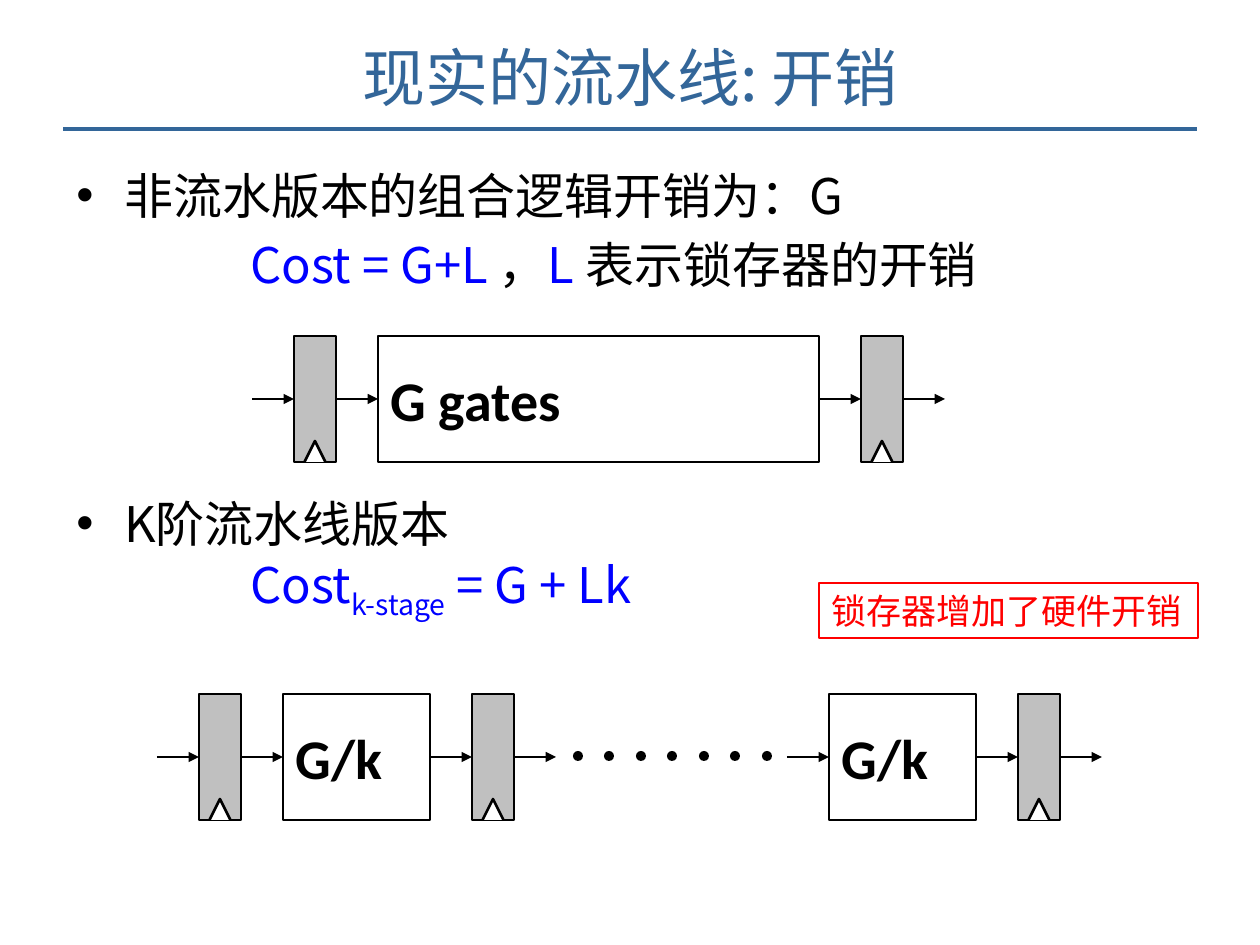
from lxml.etree import SubElement
from pptx import Presentation
from pptx.dml.color import RGBColor
from pptx.enum.shapes import MSO_CONNECTOR, MSO_SHAPE
from pptx.enum.text import MSO_ANCHOR, PP_ALIGN
from pptx.oxml.ns import qn
from pptx.util import Pt

BLACK = RGBColor(0x00, 0x00, 0x00)
WHITE = RGBColor(0xFF, 0xFF, 0xFF)
GRAY = RGBColor(0xC0, 0xC0, 0xC0)
NAVY = RGBColor(0x33, 0x66, 0x99)
BLUE = RGBColor(0x00, 0x00, 0xFF)
RED = RGBColor(0xFF, 0x00, 0x00)
CJK, LATIN = "Noto Sans CJK SC", "Calibri"

TITLE = "现实的流水线: 开销"
CALLOUT = "锁存器增加了硬件开销"
POINTS = [
    (149, "非流水版本的组合逻辑开销为：G",
     [("Cost = G+L ", BLUE, 0), ("，", BLACK, 0), ("L ", BLUE, 0),
      ("表示锁存器的开销", BLACK, 0)]),
    (477, "K阶流水线版本",
     [("Cost", BLUE, 0), ("k-stage", BLUE, -25000), (" = G + Lk", BLUE, 0)]),
]
PIPELINES = [
    {"top": 336, "gates": [("G gates", 378, 441)],
     "latches": [294, 861], "inputs": [], "dots": []},
    {"top": 694, "gates": [("G/k", 283, 147), ("G/k", 829, 147)],
     "latches": [199, 472, 1018], "inputs": [787],
     "dots": [573 + 63 * i // 2 for i in range(7)]},
]
LATCH_W, STAGE_H, WIRE, CLOCK, DOT = 42, 126, 42, 21, 10
EMU_PER_PX = 914400 / 126


def px(*lengths):
    return [round(length * EMU_PER_PX) for length in lengths]


def style_run(run, size, color, font=CJK, bold=False):
    run.font.size = Pt(size)
    run.font.color.rgb = color
    run.font.name = font
    run.font.bold = bold
    SubElement(run.font._element, qn("a:ea"), typeface=font)


def paint(shape, fill, line=BLACK):
    shape.shadow.inherit = False
    shape.fill.solid()
    shape.fill.fore_color.rgb = fill
    if line is None:
        shape.line.fill.background()
    else:
        shape.line.color.rgb = line
        shape.line.width = Pt(1.5)


def add_line(shapes, x1, x2, y, color=BLACK, width=1.5, arrow=True):
    line = shapes.add_connector(MSO_CONNECTOR.STRAIGHT, *px(x1, y, x2, y))
    line.line.color.rgb = color
    line.line.width = Pt(width)
    if arrow:
        SubElement(line.line._get_or_add_ln(), qn("a:tailEnd"), type="triangle")
    SubElement(line._element.spPr, qn("a:effectLst"))


def add_point(shapes, top, heading, formula):
    box = shapes.add_textbox(*px(64, top, 1134, 151))
    frame = box.text_frame
    frame.word_wrap = True
    first, second = frame.paragraphs[0], frame.add_paragraph()
    first.text = heading
    style_run(first.runs[0], 28, BLACK)
    indent, formula_left = px(48, 174)
    bullet = first._p.get_or_add_pPr()
    bullet.set("marL", str(indent))
    bullet.set("indent", str(-indent))
    second._p.get_or_add_pPr().set("marL", str(formula_left))
    for paragraph in (first, second):
        paragraph.line_spacing = Pt(39.5)
    SubElement(bullet, qn("a:buFont"), typeface="Arial")
    SubElement(bullet, qn("a:buChar"), char="•")
    for text, color, baseline in formula:
        run = second.add_run()
        run.text = text
        style_run(run, 28, color)
        if baseline:
            run.font._element.set("baseline", str(baseline))


def add_gate(shapes, label, left, top, width):
    gate = shapes.add_shape(MSO_SHAPE.RECTANGLE, *px(left, top, width, STAGE_H))
    paint(gate, WHITE)
    frame = gate.text_frame
    frame.text = label
    frame.vertical_anchor = MSO_ANCHOR.MIDDLE
    frame.paragraphs[0].alignment = PP_ALIGN.LEFT
    style_run(frame.paragraphs[0].runs[0], 32, BLACK, LATIN, True)


def add_latch(shapes, left, top):
    latch = shapes.add_shape(MSO_SHAPE.RECTANGLE, *px(left, top, LATCH_W, STAGE_H))
    paint(latch, GRAY)
    center, bottom = left + LATCH_W / 2, top + STAGE_H
    outline = shapes.build_freeform(*px(center - CLOCK / 2, bottom))
    outline.add_line_segments(
        [px(center, bottom - CLOCK), px(center + CLOCK / 2, bottom)], close=False)
    paint(outline.convert_to_shape(), WHITE)


def add_pipeline(shapes, pipeline):
    top = pipeline["top"]
    middle = top + STAGE_H / 2
    for label, left, width in pipeline["gates"]:
        add_gate(shapes, label, left, top, width)
    wires = list(pipeline["inputs"])
    for left in pipeline["latches"]:
        add_latch(shapes, left, top)
        wires += [left - WIRE, left + LATCH_W]
    for left in wires:
        add_line(shapes, left, left + WIRE, middle)
    for left in pipeline["dots"]:
        dot = shapes.add_shape(MSO_SHAPE.OVAL, *px(left, middle - DOT / 2 - 1, DOT, DOT))
        paint(dot, BLACK, None)


def main():
    deck = Presentation()
    deck.slide_width, deck.slide_height = px(1260, 945)
    shapes = deck.slides.add_slide(deck.slide_layouts[6]).shapes

    add_line(shapes, 63, 1197, 129, NAVY, 2, arrow=False)
    title = shapes.add_textbox(*px(0, 29, 1260, 95)).text_frame
    title.word_wrap = True
    title.vertical_anchor = MSO_ANCHOR.MIDDLE
    title.text = TITLE
    title.paragraphs[0].alignment = PP_ALIGN.CENTER
    style_run(title.paragraphs[0].runs[0], 36, NAVY)

    for point in POINTS:
        add_point(shapes, *point)
    for pipeline in PIPELINES:
        add_pipeline(shapes, pipeline)

    callout = shapes.add_textbox(*px(819, 583, 379, 55))
    callout.line.color.rgb = RED
    callout.line.width = Pt(0.75)
    callout.text_frame.word_wrap = False
    callout.text_frame.vertical_anchor = MSO_ANCHOR.MIDDLE
    callout.text_frame.text = CALLOUT
    style_run(callout.text_frame.paragraphs[0].runs[0], 20, RED)

    deck.save("out.pptx")


if __name__ == "__main__":
    main()
